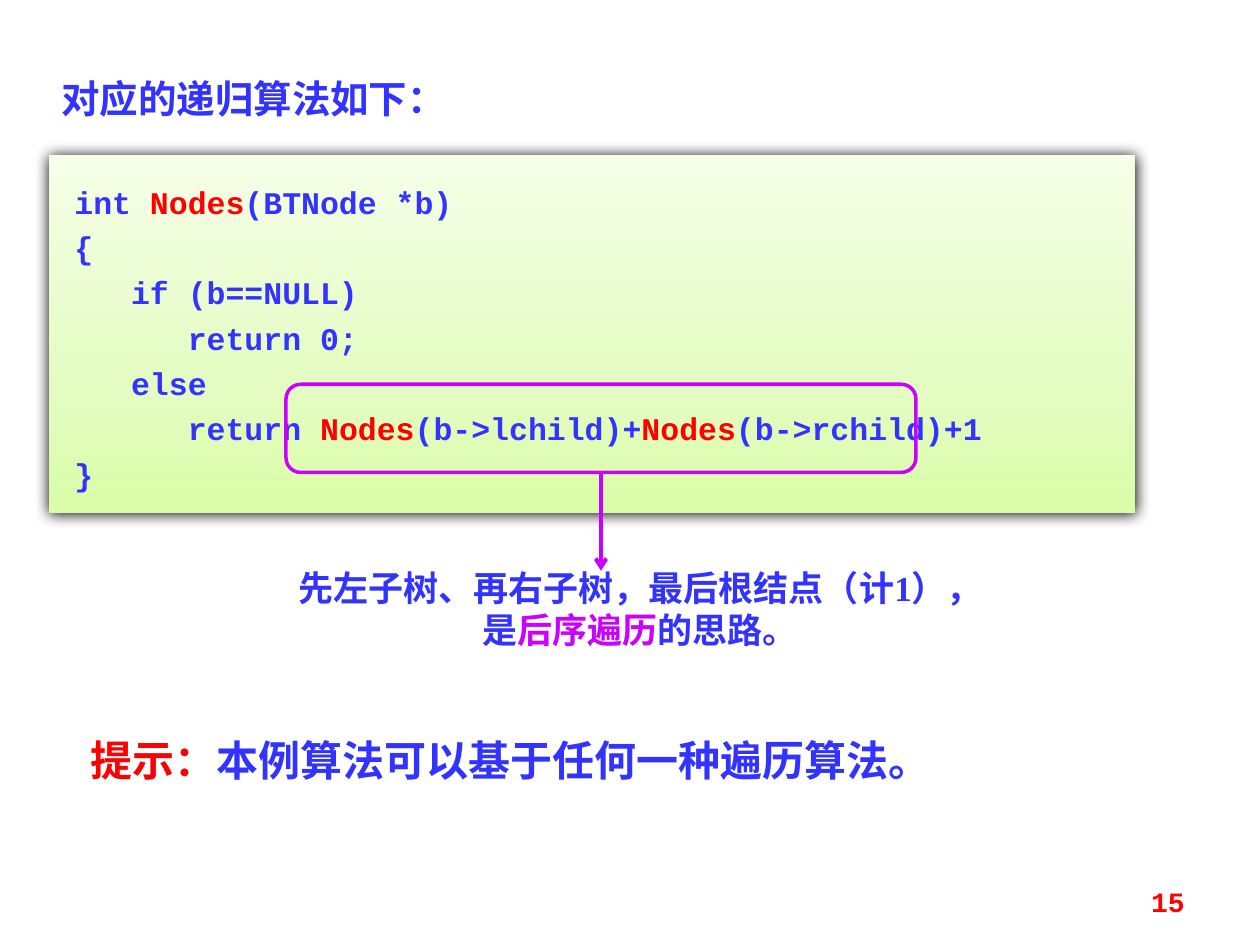
from lxml import etree
from pptx import Presentation
from pptx.dml.color import RGBColor
from pptx.enum import shapes, text
from pptx.oxml import ns, parse_xml
from pptx.util import Inches, Pt

COLORS = {"blue": "3333FF", "red": "FF0000", "violet": "CC00FF", "shadow": "000000"}
GRADIENT = {0: "DAFDA7", 35: "E4FCC2", 100: "F5FFE7"}
SERIF, SANS, MONO = "Times New Roman", "Noto Sans CJK SC", "Courier New"
INSETS = (0.1, 0.05, 0.1, 0.05)
CODE = [
    [("int ", "blue"), ("Nodes", "red"), ("(BTNode *b)", "blue")],
    [("{", "blue")],
    [("   if (b==NULL)", "blue")],
    [("      return 0;", "blue")],
    [("   else", "blue")],
    [("      return ", "blue"), ("Nodes", "red"), ("(b->lchild)+", "blue"),
     ("Nodes", "red"), ("(b->rchild)+1", "blue")],
    [("}", "blue")],
]
HEADING = [[("对应的递归算法如下：", "blue")]]
NOTE = [
    [("先左子树、再右子树，最后根结点（计1），", "blue")],
    [("是", "blue"), ("后序遍历", "violet"), ("的思路。", "blue")],
]
HINT = [[("提示：", "red"), ("本例算法可以基于任何一种遍历算法。", "blue")]]


def rgb(name):
    """Return the named colour."""
    return RGBColor.from_string(COLORS[name])


def apply(target, values):
    """Set attributes of an object from a dict."""
    for name, value in values.items():
        setattr(target, name, value)


def write(frame, lines, size, font, insets=INSETS, anchor=text.MSO_ANCHOR.TOP, **layout):
    """Fill a text frame with lines of coloured spans."""
    sides = ("margin_left", "margin_top", "margin_right", "margin_bottom")
    apply(frame, dict(zip(sides, map(Inches, insets))))
    apply(frame, {"word_wrap": True, "vertical_anchor": anchor})
    for index, line in enumerate(lines):
        para = frame.add_paragraph() if index else frame.paragraphs[0]
        apply(para, {"alignment": text.PP_ALIGN.LEFT, **layout})
        for words, color in line:
            span = para.add_run()
            span.text = words
            apply(span.font, {"size": Pt(size), "bold": True, "name": font})
            span.font.color.rgb = rgb(color)
            east = etree.SubElement(span.font._element, ns.qn("a:ea"))
            east.set("typeface", SANS)


def add_text(page, box, lines, size, font=SERIF, **layout):
    """Place a text box."""
    frame = page.shapes.add_textbox(*map(Inches, box)).text_frame
    write(frame, lines, size, font, **layout)


def add_code(page, box):
    """Place the code panel with its gradient and shadow."""
    panel = page.shapes.add_shape(shapes.MSO_SHAPE.RECTANGLE, *map(Inches, box))
    panel.line.fill.background()
    panel.fill.gradient()
    panel.fill.gradient_angle = 90
    stops = panel._element.spPr.find(".//" + ns.qn("a:gsLst"))
    stops.clear()
    for position, color in GRADIENT.items():
        stop = etree.SubElement(stops, ns.qn("a:gs"), pos=str(position * 1000))
        etree.SubElement(stop, ns.qn("a:srgbClr"), val=color)
    panel._element.spPr.append(parse_xml(
        f'<a:effectLst {ns.nsdecls("a")}><a:outerShdw blurRad="{Pt(8.5)}" dist="{Pt(1)}" '
        f'dir="5400000" algn="t" rotWithShape="0"><a:srgbClr val="{COLORS["shadow"]}"/>'
        '</a:outerShdw></a:effectLst>'))
    write(panel.text_frame, CODE, 18, MONO, (0.2, 0.16, 0.1, 0.16), line_spacing=1.2)


def add_callout(page, box):
    """Place the outlined frame, its arrow and the note below."""
    left, top, width, height = box
    frame = page.shapes.add_shape(shapes.MSO_SHAPE.ROUNDED_RECTANGLE, *map(Inches, box))
    frame.shadow.inherit = False
    frame.fill.background()
    center, bottom = left + width / 2, top + height
    arrow = page.shapes.add_connector(
        shapes.MSO_CONNECTOR.STRAIGHT,
        *map(Inches, (center, bottom, center, bottom + 0.78)))
    for shape, weight in ((frame, 2), (arrow, 2.25)):
        shape.line.color.rgb = rgb("violet")
        shape.line.width = Pt(weight)
    etree.SubElement(arrow.line._get_or_add_ln(), ns.qn("a:tailEnd"), type="arrow")
    etree.SubElement(arrow._element.spPr, ns.qn("a:effectLst"))
    add_text(page, (left - 0.16, bottom + 0.7, 5.94, 0.77), NOTE, 20,
             alignment=text.PP_ALIGN.CENTER)


def main():
    """Build and save the slide."""
    deck = Presentation()
    apply(deck, {"slide_width": Inches(10), "slide_height": Inches(7.5)})
    page = deck.slides.add_slide(deck.slide_layouts[6])
    add_code(page, (0.39, 1.23, 8.62, 2.84))
    add_text(page, (0.62, 5.78, 7.01, 0.5), HINT, 24)
    add_text(page, (0.39, 0.47, 4.49, 0.5), HEADING, 22, line_spacing=1.2)
    add_callout(page, (2.27, 3.05, 5, 0.7))
    add_text(page, (7.17, 6.95, 2.33, 0.4), [[("15", "red")]], 16, MONO,
             anchor=text.MSO_ANCHOR.MIDDLE, alignment=text.PP_ALIGN.RIGHT)
    deck.save("out.pptx")


if __name__ == "__main__":
    main()
